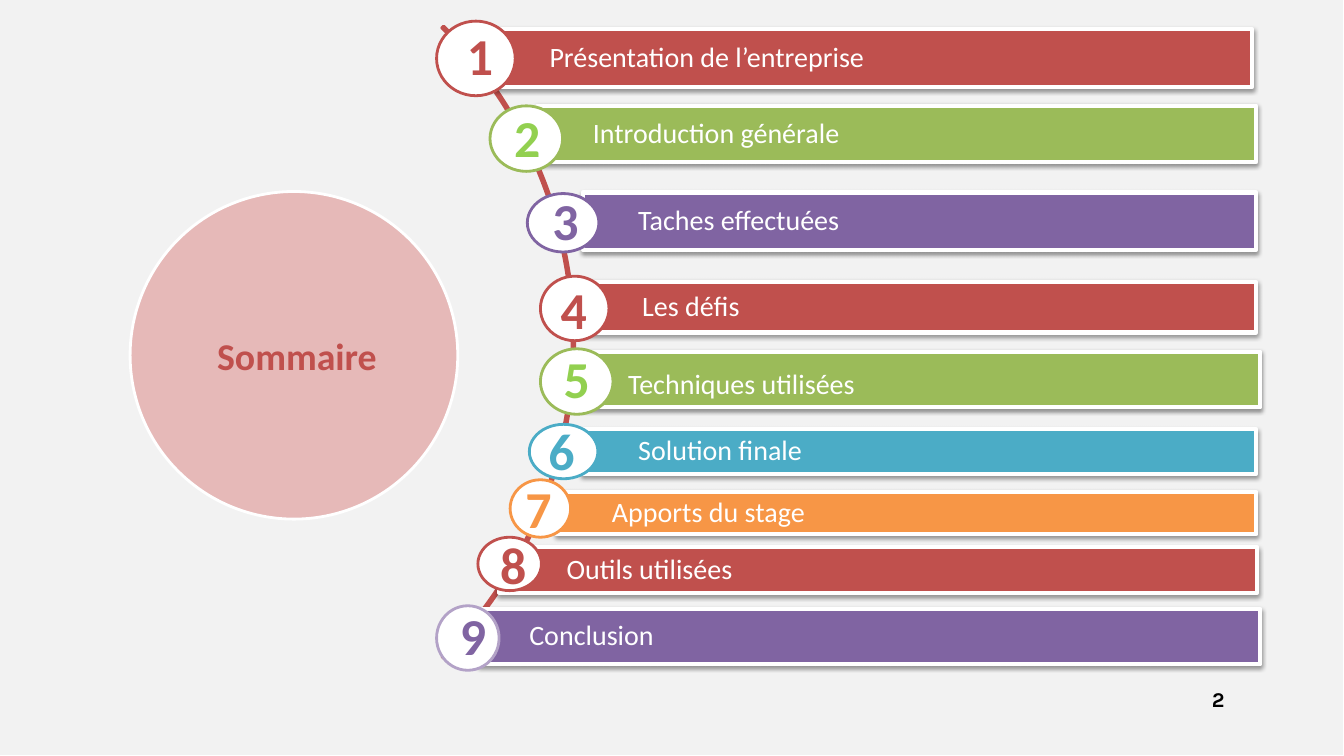
from dataclasses import dataclass

from lxml.etree import SubElement
from pptx import Presentation
from pptx.dml.color import RGBColor
from pptx.enum.shapes import MSO_SHAPE
from pptx.enum.text import MSO_ANCHOR, PP_ALIGN
from pptx.oxml.ns import qn
from pptx.util import Inches, Pt


@dataclass(frozen=True)
class Theme:
    white: str = "FFFFFF"
    black: str = "000000"
    backdrop: str = "F2F2F2"
    red: str = "C0504D"
    pink: str = "E6B9B8"
    green: str = "9BBB59"
    lime: str = "92D050"
    purple: str = "8064A2"
    lilac: str = "B3A2C7"
    blue: str = "4BACC6"
    orange: str = "F79646"
    font: str = "Calibri"
    page_font: str = "Karla"
    number_size: int = 37
    title_size: int = 27
    label_size: int = 20
    page_size: int = 15


THEME = Theme()


@dataclass(frozen=True)
class Chapter:
    """One row: boxes are (left, top, width, height), number_at is a centre."""
    label: str
    bar: tuple
    badge: tuple
    number_at: tuple
    fill: str
    ring: str
    number_color: str
    indent: float = 0.55
    label_top: float = 0.06


RED = (THEME.red, THEME.red, THEME.red)
GREEN = (THEME.green, THEME.green, THEME.lime)
PURPLE = (THEME.purple, THEME.purple, THEME.purple)
BLUE = (THEME.blue, THEME.blue, THEME.blue)
ORANGE = (THEME.orange, THEME.orange, THEME.orange)
LILAC = (THEME.purple, THEME.lilac, THEME.purple)

CHAPTERS = [
    Chapter("Présentation de l’entreprise", (4.9, 0.29, 7.52, 0.57),
            (4.33, 0.21, 0.78, 0.74), (4.76, 0.54), *RED),
    Chapter("Introduction générale", (5.33, 1.05, 7.13, 0.56),
            (4.86, 1.05, 0.72, 0.65), (5.23, 1.36), *GREEN),
    Chapter("Taches effectuées", (5.78, 1.91, 6.68, 0.57),
            (5.23, 1.92, 0.71, 0.58), (5.61, 2.18), *PURPLE),
    Chapter("Les défis", (5.7, 2.8, 6.76, 0.5),
            (5.36, 2.74, 0.68, 0.64), (5.69, 3.06), *RED, indent=0.67),
    Chapter("Techniques utilisées", (5.7, 3.49, 6.8, 0.55),
            (5.36, 3.46, 0.72, 0.65), (5.72, 3.75), *GREEN, indent=0.53, label_top=0.18),
    Chapter("Solution finale", (5.78, 4.26, 6.68, 0.44),
            (5.25, 4.21, 0.68, 0.54), (5.57, 4.46), *BLUE),
    Chapter("Apports du stage", (5.52, 4.88, 6.94, 0.42),
            (5.06, 4.76, 0.6, 0.57), (5.34, 5.04), *ORANGE),
    Chapter("Outils utilisées", (4.95, 5.43, 7.52, 0.45),
            (4.74, 5.33, 0.63, 0.53), (5.09, 5.59), *RED, indent=0.67),
    Chapter("Conclusion", (4.76, 6.04, 7.74, 0.55),
            (4.33, 6.01, 0.62, 0.64), (4.69, 6.3), *LILAC, indent=0.49),
]


def inches(box):
    return [Inches(length) for length in box]


def add_figure(page, preset, box, fill, line, width):
    figure = page.shapes.add_shape(preset, *inches(box))
    figure.shadow.inherit = False
    if fill:
        figure.fill.solid()
        figure.fill.fore_color.rgb = RGBColor.from_string(fill)
    else:
        figure.fill.background()
    figure.line.color.rgb = RGBColor.from_string(line)
    figure.line.width = Pt(width)
    return figure


def cast_shadow(figure):
    effects = figure.element.spPr.find(qn("a:effectLst"))
    shadow = SubElement(effects, qn("a:outerShdw"), blurRad=str(Pt(3.1)),
                        dist=str(Pt(1.6)), dir="5400000", rotWithShape="0")
    color = SubElement(shadow, qn("a:srgbClr"), val=THEME.black)
    SubElement(color, qn("a:alpha"), val="38000")


def write(shape, text, size, color, bold=True, align=PP_ALIGN.CENTER,
          insets=(0, 0, 0, 0), anchor=MSO_ANCHOR.MIDDLE, font=THEME.font):
    frame = shape.text_frame
    frame.word_wrap = True
    frame.vertical_anchor = anchor
    (frame.margin_left, frame.margin_top,
     frame.margin_right, frame.margin_bottom) = inches(insets)
    para = frame.paragraphs[0]
    para.alignment = align
    span = para.add_run()
    span.text = text
    span.font.name = font
    span.font.size = Pt(size)
    span.font.bold = bold
    span.font.color.rgb = RGBColor.from_string(color)
    return para


def add_chapter(page, number, chapter):
    bar = add_figure(page, MSO_SHAPE.RECTANGLE, chapter.bar, chapter.fill, THEME.white, 3)
    cast_shadow(bar)
    para = write(bar, chapter.label, THEME.label_size, THEME.white, bold=False,
                 align=PP_ALIGN.LEFT,
                 insets=(chapter.indent, chapter.label_top, 0.06, 0.06))
    para.line_spacing = 0.9

    add_figure(page, MSO_SHAPE.OVAL, chapter.badge, THEME.white, chapter.ring, 2)
    center_x, center_y = chapter.number_at
    side = 0.8
    digit = page.shapes.add_textbox(
        *inches((center_x - side / 2, center_y - side / 2, side, side)))
    write(digit, str(number), THEME.number_size, chapter.number_color)


def add_title_disc(page, box):
    add_figure(page, MSO_SHAPE.OVAL, box, THEME.pink, THEME.white, 2)
    left, top, width, height = box
    title = page.shapes.title
    title.left, title.top, title.width, title.height = inches(
        (left + 0.28, top + height / 2 - 0.4, width - 0.5, 0.8))
    write(title, "Sommaire", THEME.title_size, THEME.red)
    title.element.getparent().append(title.element)  # in front of the disc


def add_arc(page, box):
    arc = add_figure(page, MSO_SHAPE.BLOCK_ARC, box, None, THEME.red, 2)
    for index, value in enumerate((189, 27, 0.003)):
        arc.adjustments[index] = value


def add_page_number(page, box):
    number = page.shapes.add_textbox(*inches(box))
    write(number, "2", THEME.page_size, THEME.black, align=PP_ALIGN.LEFT,
          insets=(0.13, 0.07, 0.13, 0.07), anchor=MSO_ANCHOR.TOP, font=THEME.page_font)


def add_summary_page(deck):
    page = deck.slides.add_slide(deck.slide_layouts[5])
    backdrop = add_figure(page, MSO_SHAPE.RECTANGLE, (0, 0, 13.33, 7.5),
                          THEME.backdrop, THEME.white, 0.75)
    cast_shadow(backdrop)
    add_arc(page, (-3.17, -1.04, 8.87, 8.87))
    for number, chapter in enumerate(CHAPTERS, start=1):
        add_chapter(page, number, chapter)
    add_title_disc(page, (1.29, 1.9, 3.25, 3.25))
    add_page_number(page, (11.89, 6.74, 0.51, 0.39))


def main():
    deck = Presentation()
    deck.slide_width, deck.slide_height = inches((13.33, 7.5))
    add_summary_page(deck)
    deck.save("out.pptx")


if __name__ == "__main__":
    main()
